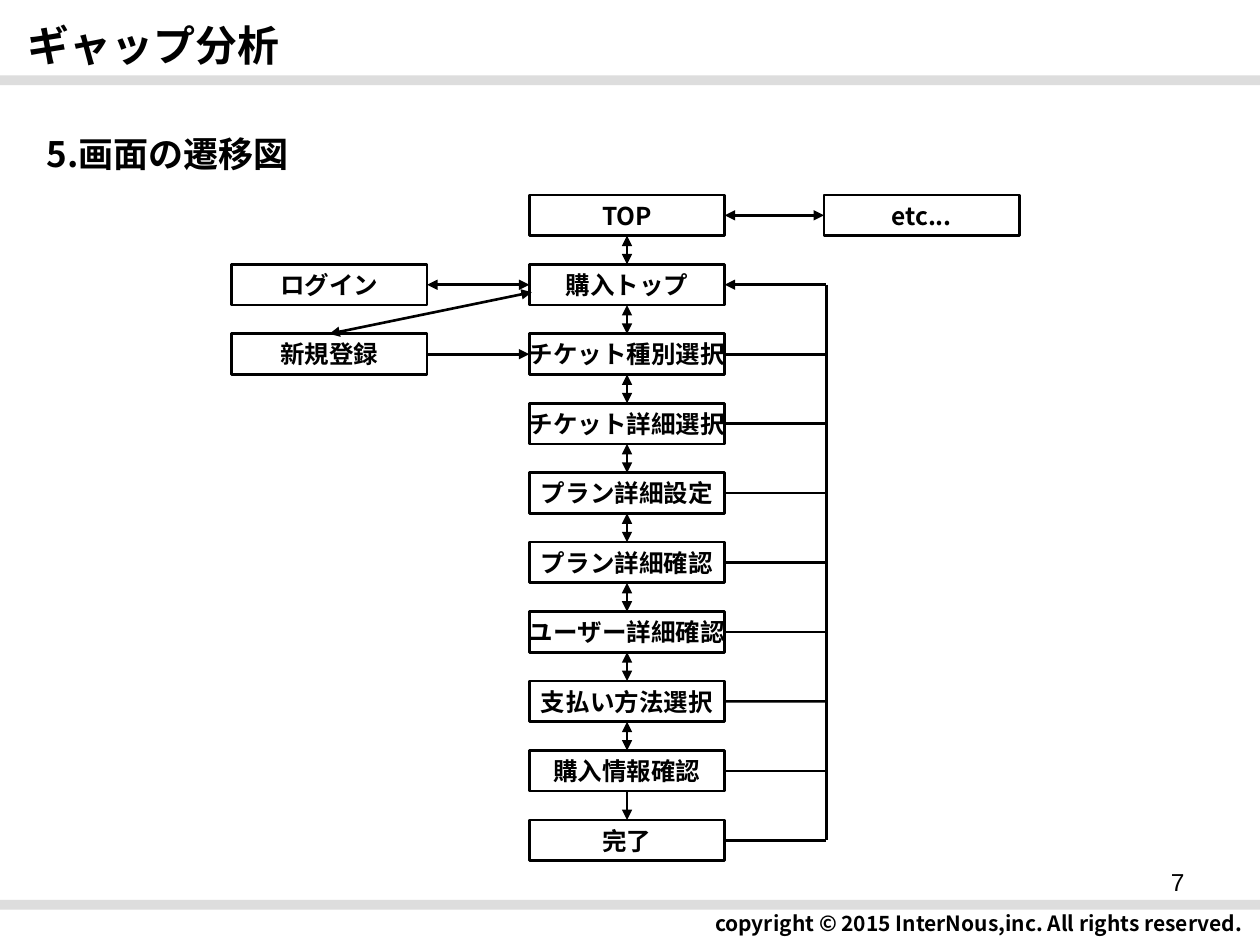
from lxml.etree import SubElement
from pptx import Presentation
from pptx.dml.color import RGBColor
from pptx.enum.shapes import MSO_CONNECTOR, MSO_SHAPE
from pptx.enum.text import MSO_ANCHOR, PP_ALIGN
from pptx.oxml.ns import qn
from pptx.util import Cm, Pt

COLORS = {"ink": "000000", "band": "DDDDDD"}
GOTHIC, ARIAL = "Noto Sans CJK JP", "Arial"
TOP, LEFT, BOTTOM, RIGHT = range(4)

deck = Presentation()
deck.slide_width, deck.slide_height = Cm(25.4), Cm(19.05)
page = deck.slides.add_slide(deck.slide_layouts[6])
ink = RGBColor.from_string(COLORS["ink"])


def write(shape, text, size, font, align, bold=True, anchor=MSO_ANCHOR.MIDDLE):
    frame = shape.text_frame
    frame.text = text
    frame.vertical_anchor = anchor
    para = frame.paragraphs[0]
    para.alignment = align
    span = para.runs[0]
    span.font.size, span.font.bold = Pt(size), bold
    span.font.name = font
    span.font.color.rgb = ink
    SubElement(span.font._element, qn("a:ea"), typeface=font)


def link(start, end, head=False, tail=False):
    """Draw a line; each end is an (x, y) point in cm or a (box, side) pair."""
    line = page.shapes.add_connector(MSO_CONNECTOR.STRAIGHT, 0, 0, 0, 0)
    if isinstance(start[0], (int, float)):
        line.begin_x, line.begin_y = Cm(start[0]), Cm(start[1])
    else:
        line.begin_connect(*start)
    if isinstance(end[0], (int, float)):
        line.end_x, line.end_y = Cm(end[0]), Cm(end[1])
    else:
        line.end_connect(*end)
    line.line.color.rgb = ink
    line.line.width = Pt(1.5)
    outline = line.line._get_or_add_ln()
    for wanted, tag in ((head, "a:headEnd"), (tail, "a:tailEnd")):
        if wanted:
            SubElement(outline, qn(tag), type="triangle")
    SubElement(line._element.spPr, qn("a:effectLst"))


# Bands under the heading and above the footer
for top in (1.52, 18.14):
    band = page.shapes.add_shape(MSO_SHAPE.RECTANGLE, 0, Cm(top), Cm(25.4), Cm(0.2))
    band.shadow.inherit = False
    band.fill.solid()
    band.fill.fore_color.rgb = RGBColor.from_string(COLORS["band"])
    band.line.fill.background()

# Heading, section title and footer
for text, left, top, height, size, align in (
    ("ギャップ分析", 0.3, 0.13, 1.55, 24, PP_ALIGN.LEFT),
    ("5.画面の遷移図", 0.69, 2.31, 1.55, 20, PP_ALIGN.LEFT),
    ("copyright © 2015 InterNous,inc. All rights reserved.", 7.49, 18.14, 0.94, 12, PP_ALIGN.RIGHT),
):
    label = page.shapes.add_textbox(Cm(left), Cm(top), Cm(17.81), Cm(height))
    label.text_frame.word_wrap = True
    write(label, text, size, GOTHIC, align)

number = page.shapes.add_textbox(Cm(18.21), Cm(17.35), Cm(5.92), Cm(1.32))
number.text_frame.word_wrap = True
write(number, "7", 14, ARIAL, PP_ALIGN.RIGHT, bold=False, anchor=MSO_ANCHOR.TOP)

# Screens: (name, column left, row, font)
FIRST_TOP, PITCH, WIDTH, HEIGHT = 3.93, 1.4, 3.94, 0.82
MAIN_LEFT, SIDE_LEFT, EXTRA_LEFT = 10.67, 4.67, 16.61
steps = ["TOP", "購入トップ", "チケット種別選択", "チケット詳細選択", "プラン詳細設定",
         "プラン詳細確認", "ユーザー詳細確認", "支払い方法選択", "購入情報確認", "完了"]
screens = [(name, MAIN_LEFT, row, ARIAL if row else GOTHIC) for row, name in enumerate(steps)]
screens += [("ログイン", SIDE_LEFT, 1, ARIAL), ("新規登録", SIDE_LEFT, 2, ARIAL),
            ("etc...", EXTRA_LEFT, 0, GOTHIC)]
boxes = {}
for name, left, row, font in screens:
    box = page.shapes.add_shape(MSO_SHAPE.RECTANGLE, Cm(left), Cm(FIRST_TOP + row * PITCH),
                                Cm(WIDTH), Cm(HEIGHT))
    box.shadow.inherit = False
    box.fill.background()
    box.line.color.rgb = ink
    box.line.width = Pt(1.5)
    box.text_frame.word_wrap = False
    write(box, name, 14, font, PP_ALIGN.CENTER)
    boxes[name] = box

# Main flow downwards; the last step cannot be undone
for upper, lower in zip(steps, steps[1:]):
    link((boxes[upper], BOTTOM), (boxes[lower], TOP), head=lower != "完了", tail=True)

# Side screens
link((boxes["ログイン"], RIGHT), (boxes["購入トップ"], LEFT), head=True, tail=True)
link((boxes["新規登録"], TOP), (10.72, 5.89), head=True, tail=True)
link((boxes["新規登録"], RIGHT), (boxes["チケット種別選択"], LEFT), tail=True)
link((boxes["TOP"], RIGHT), (boxes["etc..."], LEFT), head=True, tail=True)

# Return path from every later step to 購入トップ
RETURN_X = 16.66
middles = [FIRST_TOP + row * PITCH + HEIGHT / 2 for row in range(len(steps))]
for name, middle in zip(steps[1:], middles[1:]):
    link((boxes[name], RIGHT), (RETURN_X, middle), head=name == "購入トップ")
link((RETURN_X, middles[1]), (RETURN_X, middles[-1]))

deck.save("out.pptx")
